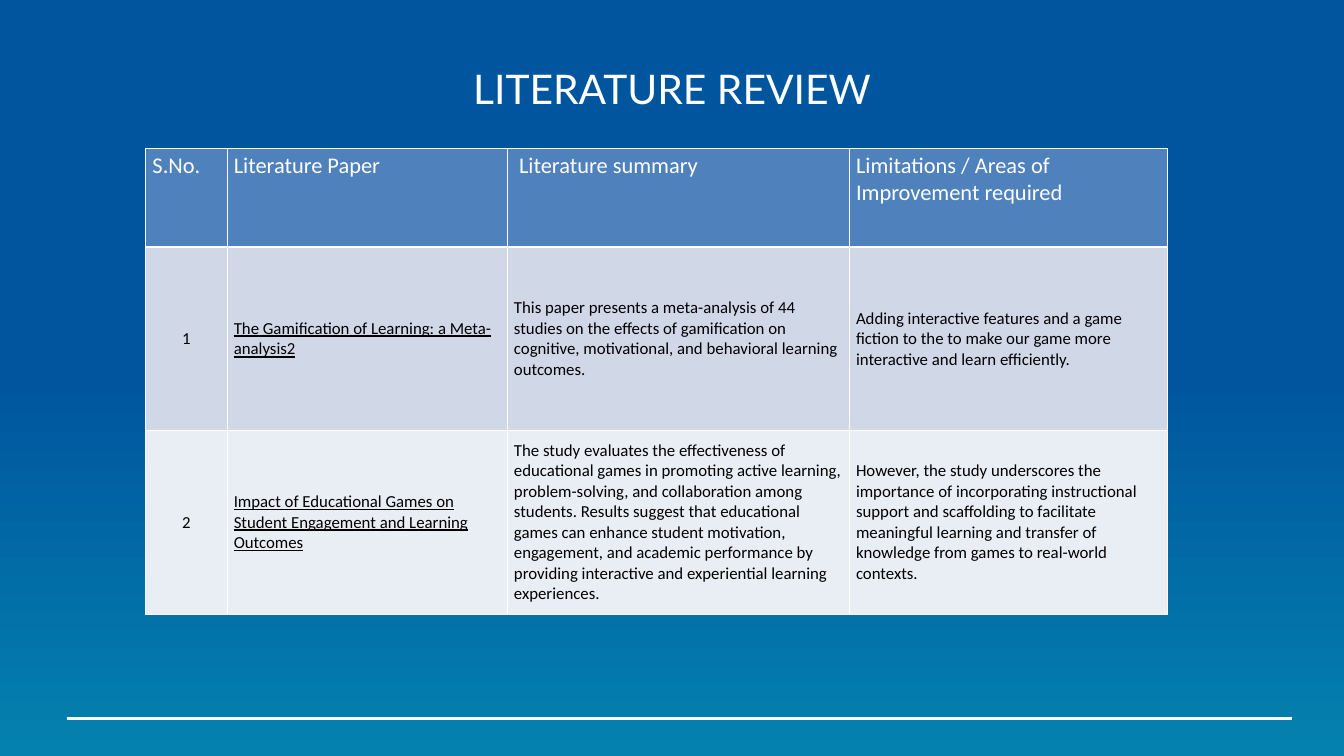
from dataclasses import dataclass

from lxml import etree
from pptx import Presentation
from pptx.dml.color import RGBColor
from pptx.enum.shapes import MSO_CONNECTOR
from pptx.enum.text import MSO_ANCHOR, PP_ALIGN
from pptx.oxml.ns import qn
from pptx.util import Pt

LEFT, CENTER = PP_ALIGN.LEFT, PP_ALIGN.CENTER
TOP, MIDDLE = MSO_ANCHOR.TOP, MSO_ANCHOR.MIDDLE
STRAIGHT = MSO_CONNECTOR.STRAIGHT

WHITE, BLACK = "FFFFFF", "000000"
DEEP_BLUE, TEAL = "00569E", "0481AF"
HEADER_FILL = "4F81BD"
BODY_FILLS = ["D0D8E8", "E9EDF4"]

TABLE_LEFT, TABLE_TOP = 156.2, 159.1
COLUMN_WIDTHS = [87.1, 300.2, 366.5, 340.6]
HEADER_HEIGHT, BODY_HEIGHT = 105.8, 196.6


@dataclass
class Paper:
    title: str
    summary: str
    limitations: str


HEADINGS = ["S.No.", "Literature Paper", " Literature summary",
            "Limitations / Areas of Improvement required"]
PAPERS = [
    Paper(
        "The Gamification of Learning: a Meta-analysis2",
        "This paper presents a meta-analysis of 44 studies on the effects of "
        "gamification on cognitive, motivational, and behavioral learning outcomes.",
        "Adding interactive features and a game fiction to the to make our game "
        "more interactive and learn efficiently.",
    ),
    Paper(
        "Impact of Educational Games on Student Engagement and Learning Outcomes",
        "The study evaluates the effectiveness of educational games in promoting "
        "active learning, problem-solving, and collaboration among students. "
        "Results suggest that educational games can enhance student motivation, "
        "engagement, and academic performance by providing interactive and "
        "experiential learning experiences.",
        "However, the study underscores the importance of incorporating "
        "instructional support and scaffolding to facilitate meaningful learning "
        "and transfer of knowledge from games to real-world contexts.",
    ),
]


def color(value: str) -> RGBColor:
    return RGBColor.from_string(value)


def write_text(frame, text: str, *, size: float, font: str = "Calibri",
               ink: str = WHITE, align=LEFT, underline: bool = False,
               line_spacing: float | None = None) -> None:
    frame.word_wrap = True
    paragraph = frame.paragraphs[0]
    paragraph.alignment = align
    if line_spacing:
        paragraph.line_spacing = Pt(line_spacing)
    run = paragraph.add_run()
    run.text = text
    run.font.name = font
    run.font.size = Pt(size)
    run.font.bold = False
    run.font.underline = underline
    run.font.color.rgb = color(ink)


def set_borders(cell, bottom_width: float) -> None:
    properties = cell._tc.get_or_add_tcPr()
    widths = {"a:lnL": 1, "a:lnR": 1, "a:lnT": 1, "a:lnB": bottom_width}
    for index, (tag, width) in enumerate(widths.items()):
        border = etree.Element(qn(tag), w=str(Pt(width)))
        fill = etree.SubElement(border, qn("a:solidFill"))
        etree.SubElement(fill, qn("a:srgbClr"), val=WHITE)
        properties.insert(index, border)


def fill_cell(cell, text: str, fill: str, *, anchor=MIDDLE,
              bottom_width: float = 1, **text_format) -> None:
    cell.fill.solid()
    cell.fill.fore_color.rgb = color(fill)
    cell.vertical_anchor = anchor
    set_borders(cell, bottom_width)
    write_text(cell.text_frame, text, **text_format)


def paint_background(slide) -> None:
    fill = slide.background.fill
    fill.gradient()
    fill.gradient_angle = 270
    for stop, position, value in zip(fill.gradient_stops, (0.5, 1), (DEEP_BLUE, TEAL)):
        stop.position = position
        stop.color.rgb = color(value)


def add_title(slide, text: str) -> None:
    frame = slide.shapes.add_textbox(Pt(240), Pt(67.7), Pt(960), Pt(52)).text_frame
    frame.margin_left = frame.margin_right = 0
    frame.margin_top = frame.margin_bottom = 0
    write_text(frame, text, size=43.7, font="Lato", align=CENTER, line_spacing=52.5)


def add_footer_line(slide) -> None:
    line = slide.shapes.add_connector(STRAIGHT, Pt(1384), Pt(769.5), Pt(71.3), Pt(769.5))
    line.line.color.rgb = color(WHITE)
    line.line.width = Pt(3)
    etree.SubElement(line._element.spPr, qn("a:effectLst"))


def add_review_table(slide) -> None:
    heights = [HEADER_HEIGHT] + [BODY_HEIGHT] * len(PAPERS)
    table = slide.shapes.add_table(
        len(heights), len(COLUMN_WIDTHS), Pt(TABLE_LEFT), Pt(TABLE_TOP),
        Pt(sum(COLUMN_WIDTHS)), Pt(sum(heights))).table
    table.first_row = table.horz_banding = False
    for column, width in zip(table.columns, COLUMN_WIDTHS):
        column.width = Pt(width)
    for row, height in zip(table.rows, heights):
        row.height = Pt(height)

    for column, heading in enumerate(HEADINGS):
        fill_cell(table.cell(0, column), heading, HEADER_FILL,
                  anchor=TOP, bottom_width=3, size=24)
    for number, (paper, fill) in enumerate(zip(PAPERS, BODY_FILLS), start=1):
        texts = [str(number), paper.title, paper.summary, paper.limitations]
        for column, text in enumerate(texts):
            fill_cell(table.cell(number, column), text, fill, size=18, ink=BLACK,
                      align=CENTER if column == 0 else LEFT, underline=column == 1)


def main() -> None:
    presentation = Presentation()
    presentation.slide_width, presentation.slide_height = Pt(1440), Pt(810)
    slide = presentation.slides.add_slide(presentation.slide_layouts[6])
    paint_background(slide)
    add_title(slide, "LITERATURE REVIEW")
    add_footer_line(slide)
    add_review_table(slide)
    presentation.save("out.pptx")


if __name__ == "__main__":
    main()
